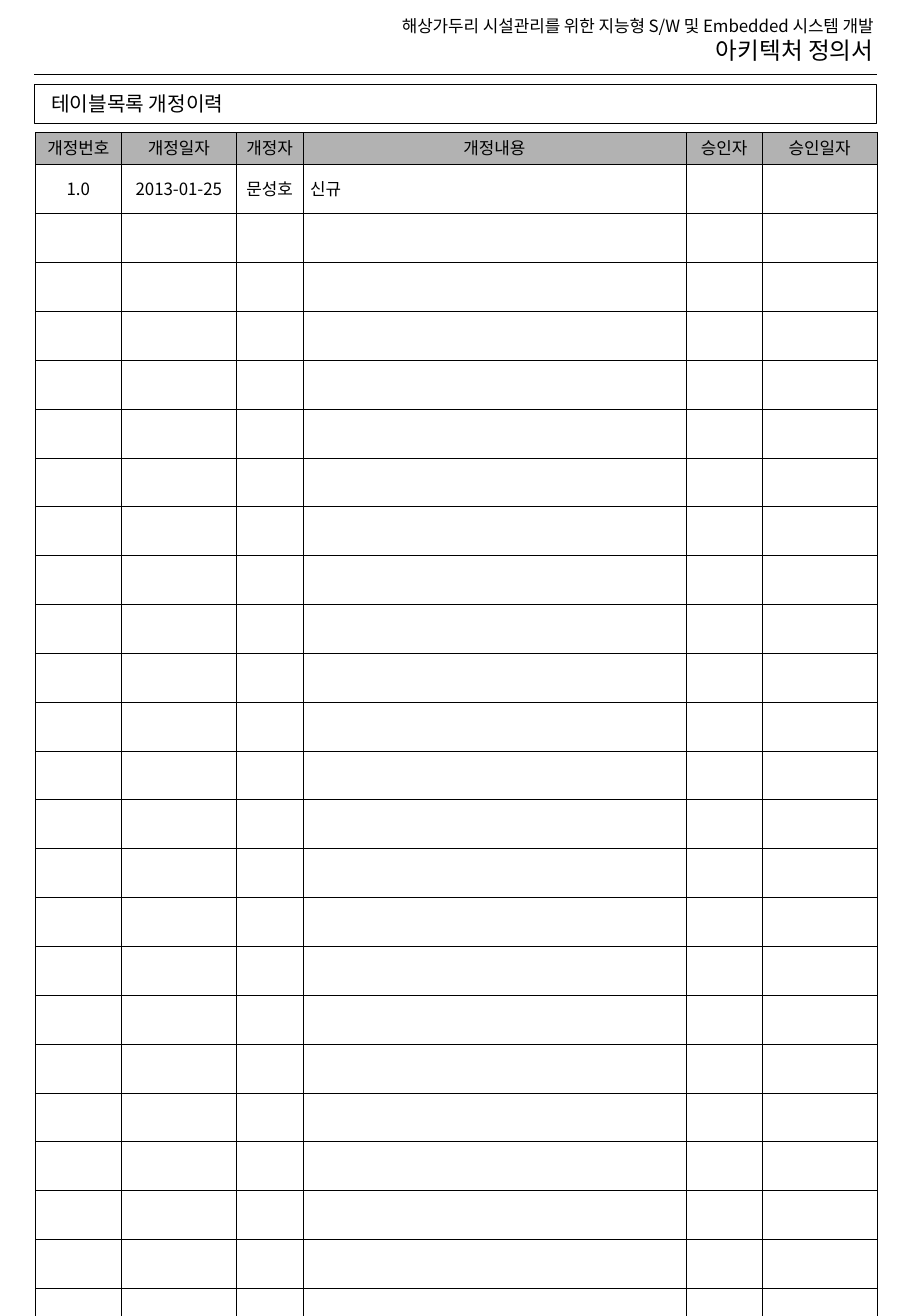
import dataclasses
import pptx
import pptx.dml.color
import pptx.enum.shapes
import pptx.enum.text
import pptx.oxml
import pptx.oxml.ns
import pptx.util
from lxml import etree

Pt = pptx.util.Pt
Align = pptx.enum.text.PP_ALIGN
Anchor = pptx.enum.text.MSO_ANCHOR


@dataclasses.dataclass(frozen=True)
class Theme:
    """Colours, fonts and sizes of the document."""
    ink: str = "000000"
    paper: str = "FFFFFF"
    head_fill: str = "B2B2B2"
    font: str = "Noto Sans CJK KR"
    title_font: str = "Cabin"
    small: float = 10
    medium: float = 12
    large: float = 14
    empty: float = 18
    rule: float = 0.26
    grid: float = 0.11


@dataclasses.dataclass(frozen=True)
class Box:
    """A rectangle in points."""
    left: float
    top: float
    width: float
    height: float

    def lengths(self):
        """Return left, top, width and height as lengths."""
        return [Pt(value) for value in dataclasses.astuple(self)]


THEME = Theme()
HEADINGS = ["개정번호", "개정일자", "개정자", "개정내용", "승인자", "승인일자"]
REVISION = ["1.0", "2013-01-25", "문성호", "신규", "", ""]
COLUMN_WIDTHS = [51.1, 68, 39.6, 227, 45.4, 67.7]
EMPTY_ROWS = 30
HEAD_HEIGHT, ROW_HEIGHT = 18.72, 20.5


def colour(value):
    """Turn a hex string into a colour."""
    return pptx.dml.color.RGBColor.from_string(value)


def apply(target, values):
    """Set every attribute named in a dict of format values."""
    for name, value in values.items():
        setattr(target, name, value)


def add_child(parent, tag, **attributes):
    """Append a DrawingML element and return it."""
    return etree.SubElement(parent, pptx.oxml.ns.qn(tag), attributes)


def write(para, text, size, font=THEME.font, **layout):
    """Write one formatted span into a paragraph."""
    apply(para, layout)
    span = para.add_run()
    span.text = text
    apply(span.font, {"name": font, "size": Pt(size), "bold": False})
    span.font.color.rgb = colour(THEME.ink)
    add_child(span.font._element, "a:ea", typeface=font)


def set_frame(frame, wrap):
    """Give a text frame its wrapping and top anchor."""
    apply(frame, {"word_wrap": wrap, "vertical_anchor": Anchor.TOP,
                  "auto_size": pptx.enum.text.MSO_AUTO_SIZE.NONE})


def draw_header(page, box):
    """Place the project name, document name and the rule below them."""
    frame = page.shapes.add_textbox(*box.lengths()).text_frame
    set_frame(frame, True)
    write(frame.paragraphs[0], "해상가두리 시설관리를 위한 지능형 S/W 및 Embedded 시스템 개발",
          THEME.small, alignment=Align.RIGHT)
    write(frame.add_paragraph(), "아키텍처 정의서", THEME.large, alignment=Align.RIGHT)
    height = Pt(box.top + box.height + 2)
    rule = page.shapes.add_connector(
        pptx.enum.shapes.MSO_CONNECTOR.STRAIGHT,
        Pt(box.left), height, Pt(box.left + box.width - 5), height)
    rule.line.color.rgb = colour(THEME.ink)
    rule.line.width = Pt(THEME.rule)
    add_child(rule._element.spPr, "a:effectLst")


def draw_title(page, box):
    """Place the framed section title."""
    border = page.shapes.add_shape(
        pptx.enum.shapes.MSO_SHAPE.RECTANGLE, *box.lengths())
    border.shadow.inherit = False
    border.fill.background()
    border.line.color.rgb = colour(THEME.ink)
    border.line.width = Pt(THEME.rule)
    title = page.shapes.title
    place = Box(box.left + 3, box.top + 0.7, 122.4, box.height - 1.4)
    apply(title, dict(zip(["left", "top", "width", "height"], place.lengths())))
    set_frame(title.text_frame, False)
    write(title.text_frame.paragraphs[0], "테이블목록 개정이력", THEME.medium,
          THEME.title_font, alignment=Align.LEFT)


def add_borders(cell):
    """Draw thin lines on the four sides of a cell."""
    properties = cell._tc.get_or_add_tcPr()
    for position, side in enumerate(["a:lnL", "a:lnR", "a:lnT", "a:lnB"]):
        line = add_child(properties, side, w=str(int(Pt(THEME.grid))))
        add_child(add_child(line, "a:solidFill"), "a:srgbClr", val=THEME.ink)
        properties.insert(position, line)


def fill_cell(cell, text, heading, centred):
    """Format a table cell and write its text."""
    apply(cell, {"margin_left": Pt(4.3), "margin_right": Pt(4.3),
                 "margin_top": Pt(3.5), "margin_bottom": Pt(3.5),
                 "vertical_anchor": Anchor.MIDDLE})
    cell.fill.solid()
    cell.fill.fore_color.rgb = colour(THEME.head_fill if heading else THEME.paper)
    add_borders(cell)
    para = cell.text_frame.paragraphs[0]
    if text:
        write(para, text, THEME.small, line_spacing=0.84 if heading else 0.94,
              alignment=Align.CENTER if centred else Align.LEFT)
    else:
        end = add_child(para._p, "a:endParaRPr", sz=str(THEME.empty * 100))
        add_child(end, "a:latin", typeface=THEME.title_font)


def draw_history(page, box):
    """Place the revision history table."""
    rows = [HEADINGS, REVISION] + [[""] * len(HEADINGS)] * EMPTY_ROWS
    table = page.shapes.add_table(len(rows), len(HEADINGS), *box.lengths()).table
    apply(table, {"first_row": False, "horz_banding": False})
    for column, width in zip(table.columns, COLUMN_WIDTHS):
        column.width = Pt(width)
    for number, texts in enumerate(rows):
        heading = number == 0
        table.rows[number].height = Pt(HEAD_HEIGHT if heading else ROW_HEIGHT)
        for index, text in enumerate(texts):
            centred = heading or HEADINGS[index] != "개정내용"
            fill_cell(table.cell(number, index), text, heading, centred)


def build():
    """Build and save the document."""
    deck = pptx.Presentation()
    apply(deck, {"slide_width": Pt(540), "slide_height": Pt(780.48)})
    page = deck.slides.add_slide(deck.slide_layouts[5])
    draw_header(page, Box(20.2, 5.8, 504.7, 36))
    draw_history(page, Box(20.9, 78.5, sum(COLUMN_WIDTHS), 654.2))
    draw_title(page, Box(20.2, 49.9, 499.2, 23))
    deck.save("out.pptx")


build()
